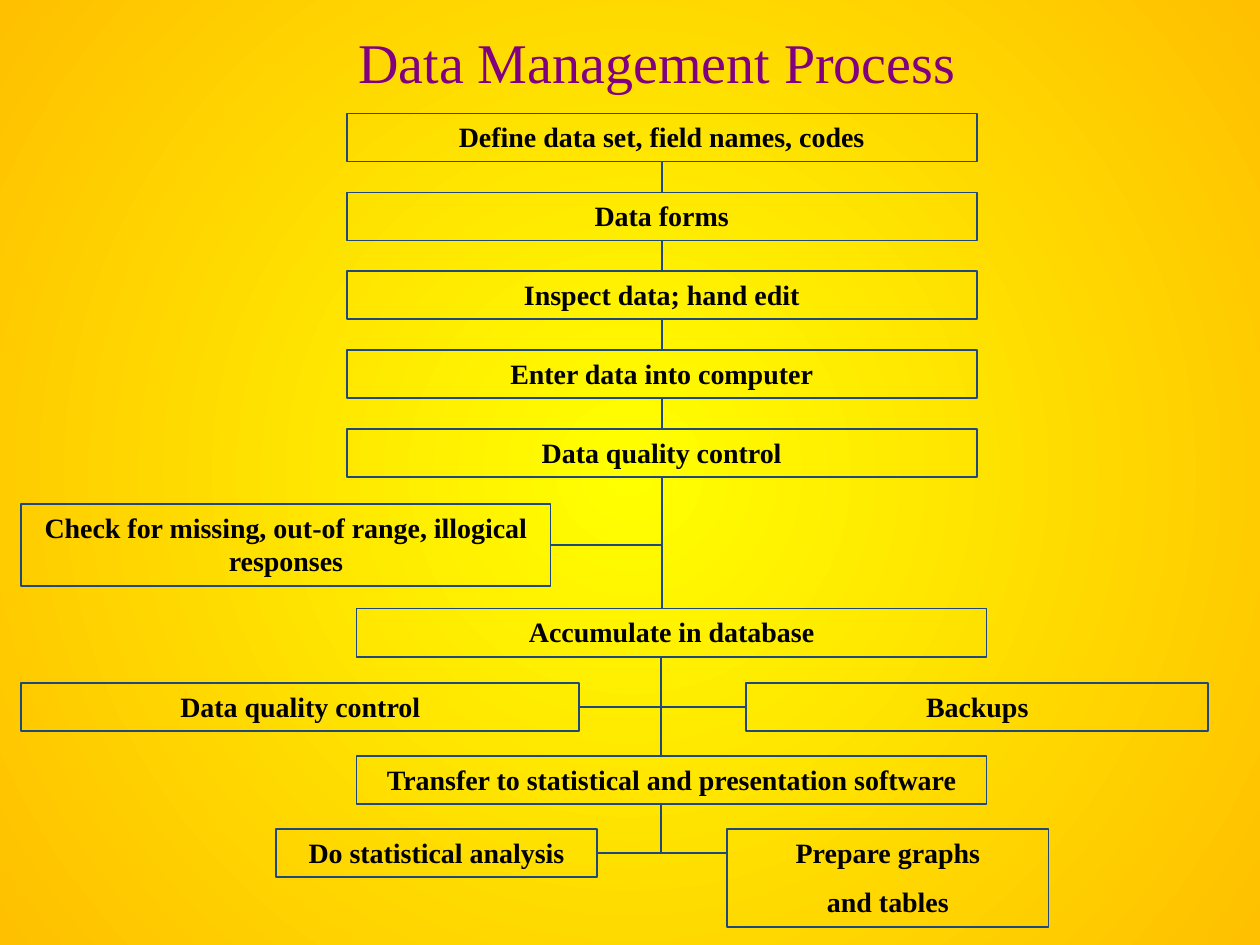
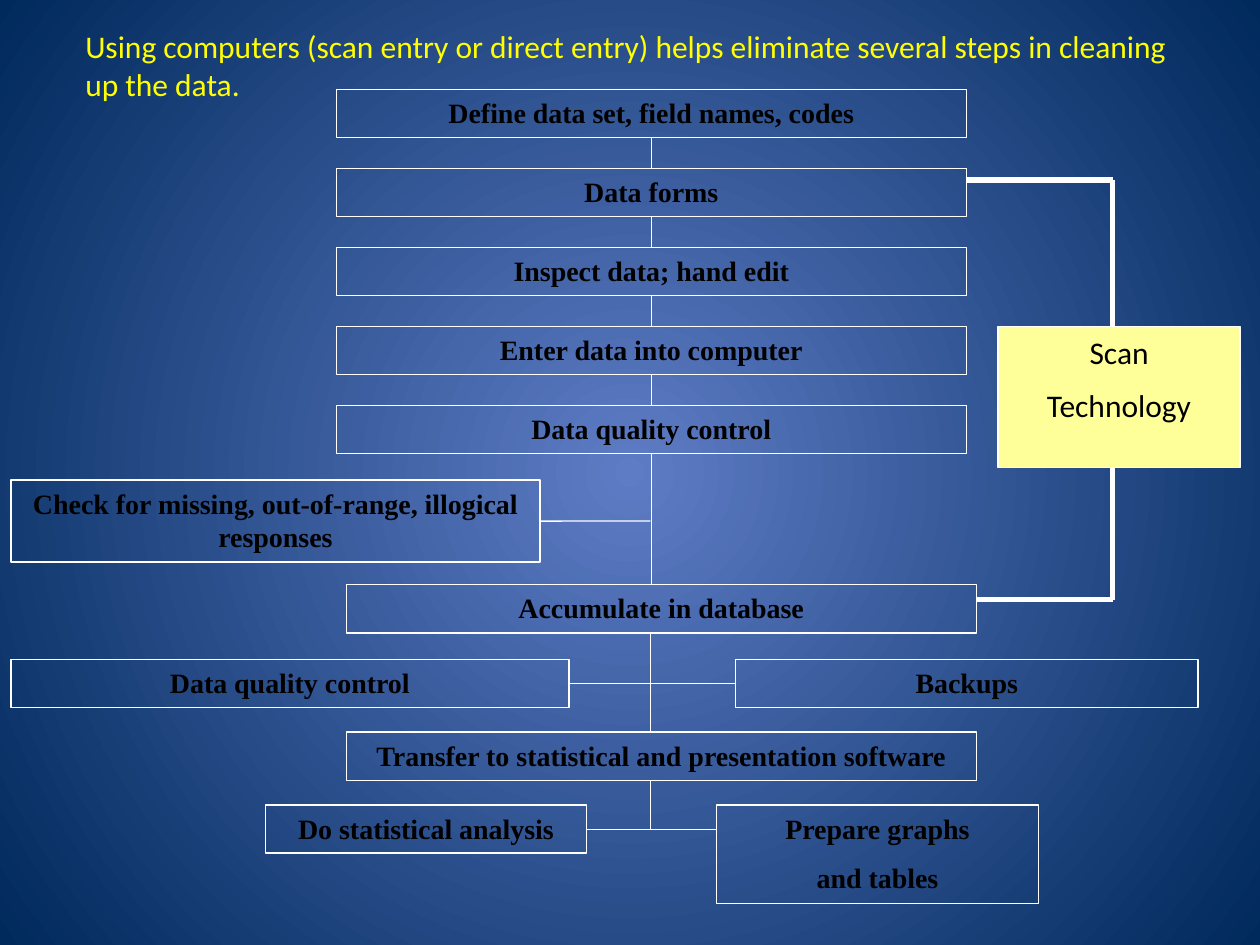
"""Draw the data flow chart on a warm slide and on a blue slide."""
import dataclasses
import typing

import lxml.etree
import pptx
import pptx.dml.color
import pptx.enum.shapes
import pptx.enum.text
import pptx.oxml.ns
import pptx.util

Cm = pptx.util.Cm
Pt = pptx.util.Pt
Align = pptx.enum.text.PP_ALIGN


@dataclasses.dataclass(frozen=True)
class Theme:
    """Colours, fonts and sizes."""
    serif: str = "Times New Roman"
    sans: str = "Calibri"
    title: int = 32
    note: int = 18
    step: int = 16
    gap: int = 9
    thick: float = 3
    ink: str = "000000"
    purple: str = "800080"
    yellow: str = "FFFF00"
    amber: str = "FFC000"
    cream: str = "FFFF99"
    white: str = "FFFFFF"
    navy: str = "1F497D"
    sky: str = "5E7CC5"
    night: str = "00295C"


THEME = Theme()


@dataclasses.dataclass(frozen=True)
class Box:
    """A framed step, measured in centimetres."""
    text: str
    left: float
    top: float
    width: float = 12.7
    height: float = 0.97


@dataclasses.dataclass(frozen=True)
class Look:
    """What sets one flow chart apart."""
    inner: str
    outer: str
    line: str
    weight: float
    range_text: str
    dx: float = 0
    dy: float = 0


@dataclasses.dataclass(frozen=True)
class Pen:
    """Colour and weight of a line."""
    tint: str
    weight: float


WARM = Look(THEME.yellow, THEME.amber, THEME.navy, 1, "out-of range")
BLUE = Look(THEME.sky, THEME.night, THEME.white, 0.75, "out-of-range", -0.21, -0.48)

STACK = ("Define data set, field names, codes", "Data forms", "Inspect data; hand edit",
         "Enter data into computer", "Data quality control")
STACK_TOP, PITCH = 2.29, 1.59
MID = 13.32


def rgb(code: str) -> pptx.dml.color.RGBColor:
    """Turn a hex code into a colour."""
    return pptx.dml.color.RGBColor.from_string(code)


def write(shape: typing.Any, text: str, *, font: str = THEME.serif, size: int = THEME.step,
          tint: str = THEME.ink, bold: bool = False, align: Align = Align.CENTER) -> None:
    """Fill a shape with text, one paragraph to a line."""
    frame = shape.text_frame
    frame.word_wrap = True
    frame.vertical_anchor = pptx.enum.text.MSO_ANCHOR.TOP
    frame.text = text
    for rank, part in enumerate(frame.paragraphs):
        part.alignment = align
        part.space_before = Pt(THEME.gap if rank else 0)
        part.font.name = font
        part.font.size = Pt(size)
        part.font.bold = bold
        part.font.color.rgb = rgb(tint)


def frame_box(slide: typing.Any, box: Box, pen: Pen, fill: str = "") -> typing.Any:
    """Draw an outlined box, filled if a colour is given."""
    shape = slide.shapes.add_shape(pptx.enum.shapes.MSO_SHAPE.RECTANGLE, Cm(box.left),
                                   Cm(box.top), Cm(box.width), Cm(box.height))
    shape.shadow.inherit = False
    if fill:
        shape.fill.solid()
        shape.fill.fore_color.rgb = rgb(fill)
    else:
        shape.fill.background()
    shape.line.color.rgb = rgb(pen.tint)
    shape.line.width = Pt(pen.weight)
    return shape


def rule(slide: typing.Any, start: tuple[float, float], end: tuple[float, float],
         pen: Pen) -> typing.Any:
    """Draw a straight line between two points."""
    line = slide.shapes.add_connector(pptx.enum.shapes.MSO_CONNECTOR.STRAIGHT,
                                      *(Cm(place) for place in start + end))
    line.line.color.rgb = rgb(pen.tint)
    line.line.width = Pt(pen.weight)
    props = line.element.find(pptx.oxml.ns.qn("p:spPr"))
    lxml.etree.SubElement(props, pptx.oxml.ns.qn("a:effectLst"))
    return line


def glow(slide: typing.Any, inner: str, outer: str) -> None:
    """Give the slide a round gradient."""
    qn = pptx.oxml.ns.qn
    fill = slide.background.fill
    fill.gradient()
    for stop, tint in zip(fill.gradient_stops, (inner, outer)):
        stop.color.rgb = rgb(tint)
    grad = slide.element.find(".//" + qn("a:gradFill"))
    grad.remove(grad.find(qn("a:lin")))
    ring = lxml.etree.SubElement(grad, qn("a:path"), {"path": "circle"})
    lxml.etree.SubElement(ring, qn("a:fillToRect"), {side: "50000" for side in "ltrb"})


def flow(slide: typing.Any, look: Look) -> None:
    """Draw the steps and the lines that join them."""
    pen = Pen(look.line, look.weight)
    stack = [Box(text, 6.99, STACK_TOP + PITCH * rank) for rank, text in enumerate(STACK)]
    check = Box(f"Check for missing, {look.range_text}, illogical responses",
                0.43, 10.16, 10.67, 1.65)
    store = Box("Accumulate in database", 7.19, 12.27)
    audit = Box("Data quality control", 0.43, 13.77, 11.25)
    backup = Box("Backups", 15.04, 13.77, 9.32)
    send = Box("Transfer to statistical and presentation software", 7.19, 15.24)
    study = Box("Do statistical analysis", 5.56, 16.71, 6.48)
    graphs = Box("Prepare graphs\nand tables", 14.66, 16.71, 6.48, 1.98)

    shapes = {}
    for box in (*stack, check, store, audit, backup, send, study, graphs):
        moved = dataclasses.replace(box, left=box.left + look.dx, top=box.top + look.dy)
        shapes[box] = frame_box(slide, moved, pen)
        write(shapes[box], box.text, bold=True)

    def link(start: tuple[float, float], end: tuple[float, float],
             head: Box | None = None, tail: Box | None = None, sides: tuple = (2, 0)) -> None:
        """Draw a shifted line, joined to boxes where given."""
        line = rule(slide, (start[0] + look.dx, start[1] + look.dy),
                    (end[0] + look.dx, end[1] + look.dy), pen)
        if head:
            line.begin_connect(shapes[head], sides[0])
        if tail:
            line.end_connect(shapes[tail], sides[1])

    def base(box: Box) -> float:
        """Find the lower edge."""
        return box.top + box.height

    def right(box: Box) -> tuple[float, float]:
        """Find the middle of the right side."""
        return box.left + box.width, box.top + box.height / 2

    for upper, lower in zip(stack, stack[1:]):
        link((MID, base(upper)), (MID, lower.top), upper, lower)
    link((MID, base(stack[-1])), (MID + 0.02, store.top), stack[-1])
    link(right(check), (MID, right(check)[1]), check, sides=(3, 1))
    link((MID, base(store)), (MID, send.top))
    link(right(audit), (backup.left, right(backup)[1]), audit, backup, (3, 1))
    link((MID, base(send)), (MID, right(study)[1]))
    link(right(study), (graphs.left, right(study)[1]), study, sides=(3, 1))


def scan(slide: typing.Any) -> None:
    """Draw the scan box and its bracket."""
    box = Box("Scan\nTechnology", 20.12, 6.58, 4.88, 2.84)
    shape = frame_box(slide, box, Pen(THEME.white, BLUE.weight), THEME.cream)
    write(shape, box.text, font=THEME.sans, size=THEME.note)
    spine = 22.43
    for left, edge, side in ((19.48, 3.63, box.top), (19.69, 12.09, box.top + box.height)):
        for start, end in (((left, edge), (spine, edge)), ((spine, edge), (spine, side))):
            rule(slide, start, end, Pen(THEME.white, THEME.thick))


def label(slide: typing.Any, box: Box, **style: typing.Any) -> None:
    """Add a plain text box."""
    shape = slide.shapes.add_textbox(Cm(box.left), Cm(box.top), Cm(box.width), Cm(box.height))
    write(shape, box.text, **style)


def main() -> None:
    """Build and save both slides."""
    deck = pptx.Presentation()
    deck.slide_width, deck.slide_height = Cm(25.4), Cm(19.05)
    warm, blue = (deck.slides.add_slide(deck.slide_layouts[6]) for _ in range(2))
    for slide, look in ((warm, WARM), (blue, BLUE)):
        glow(slide, look.inner, look.outer)
        flow(slide, look)
    label(warm, Box("Data Management Process", 6.05, 0.43, 14.4, 1.6),
          size=THEME.title, tint=THEME.purple)
    scan(blue)
    label(blue, Box("Using computers (scan entry or direct entry) helps eliminate several "
                    "steps in cleaning up the data.", 1.47, 0.43, 23.06, 1.8),
          font=THEME.sans, size=THEME.note, tint=THEME.yellow, align=Align.LEFT)
    deck.save("out.pptx")


if __name__ == "__main__":
    main()
